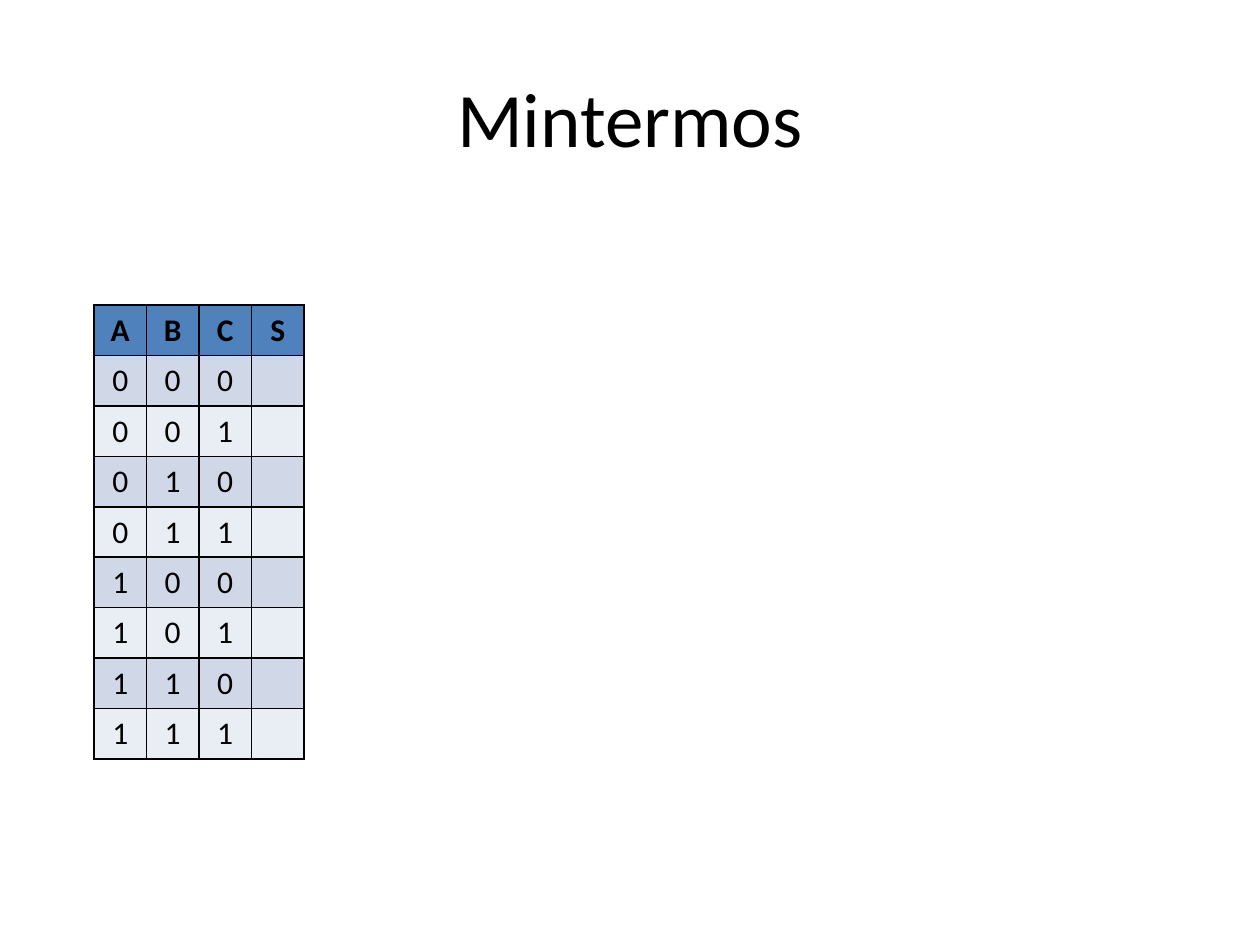
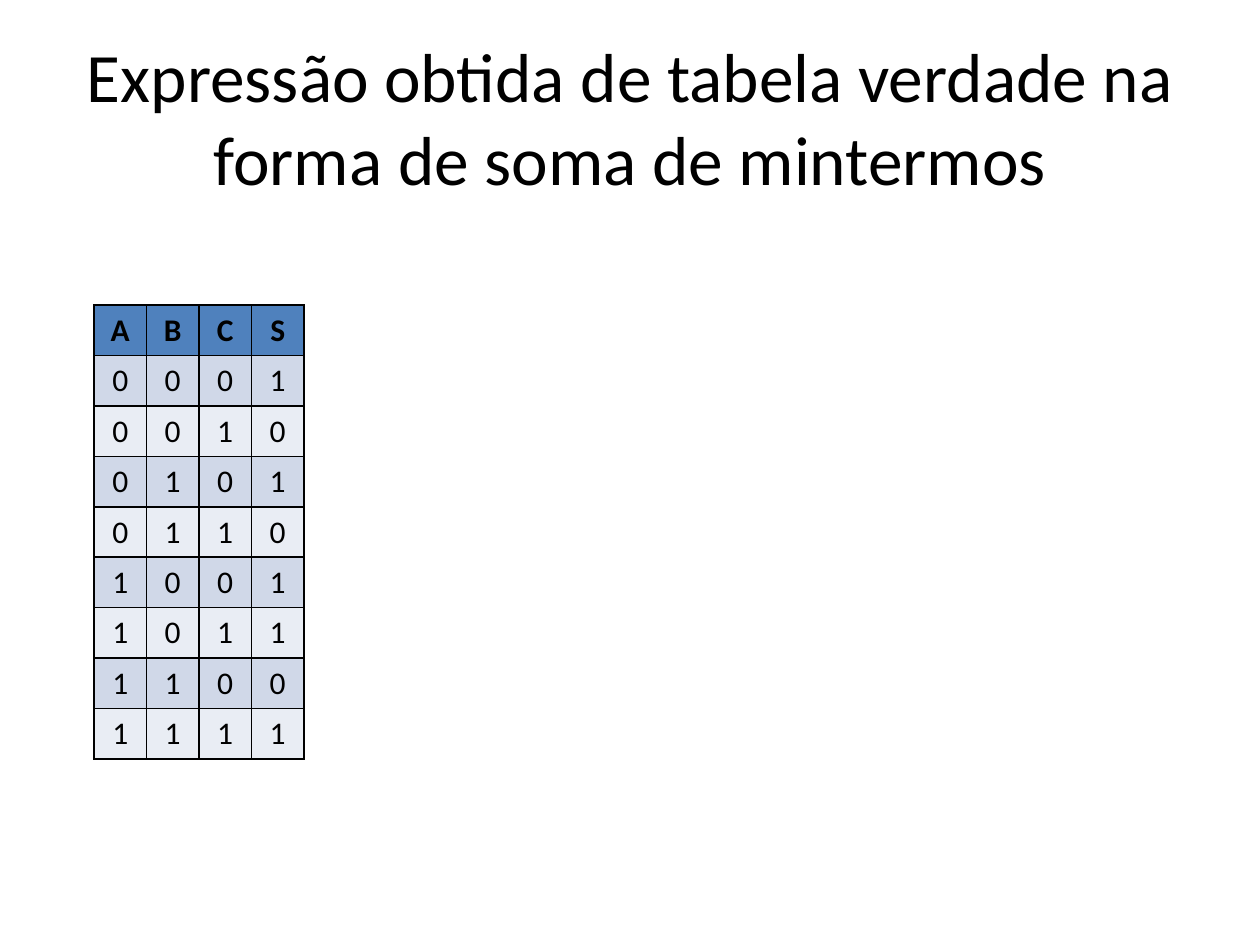
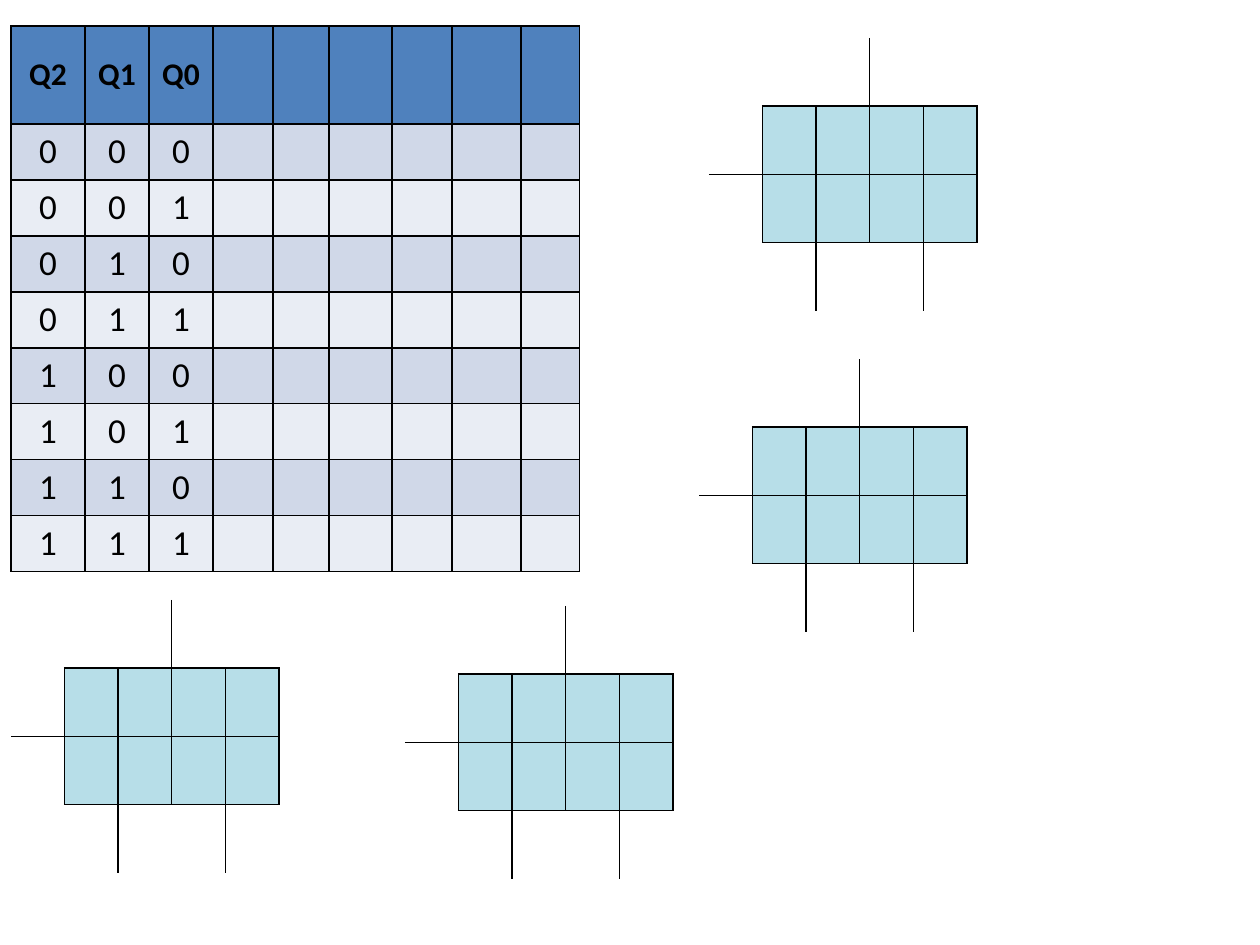
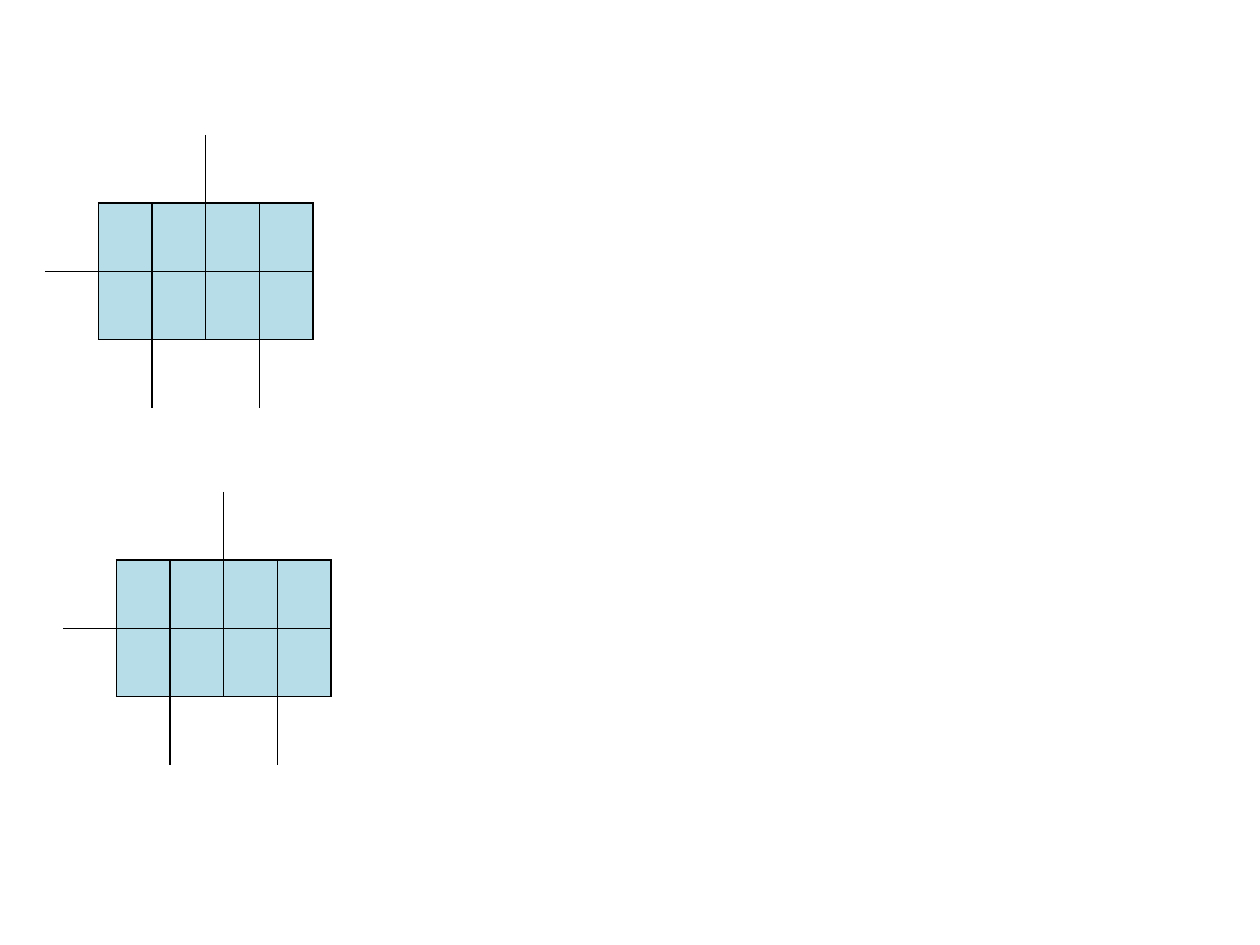
from itertools import product

from pptx import Presentation
from pptx import util as u
from pptx.dml.color import RGBColor
from pptx.enum import text
from pptx.oxml import parse_xml
from pptx.oxml.ns import nsdecls

PX = u.Inches(1) // 126
FONT = "Calibri"
BLACK = RGBColor(0x00, 0x00, 0x00)
WHITE = RGBColor(0xFF, 0xFF, 0xFF)
HEADER = RGBColor(0x4F, 0x81, 0xBD)
BANDS = (RGBColor(0xD0, 0xD8, 0xE8), RGBColor(0xE9, 0xED, 0xF4))
KMAP = RGBColor(0xB7, 0xDE, 0xE8)

ALL = "LRTB"
# Ruled sides of each Karnaugh map cell; cells ruled on all sides are coloured
KMAP_EDGES = [
    ["", "B", "RB", "LB", "B"],
    ["RB"] + [ALL] * 4,
    ["TR"] + [ALL] * 4,
    ["", "TR", "LT", "TR", "LT"],
]
BITS = list(product("01", repeat=3))


def write(tf, content, size, bold=False):
    tf.vertical_anchor = text.MSO_ANCHOR.MIDDLE
    p = tf.paragraphs[0]
    p.alignment = text.PP_ALIGN.CENTER
    r = p.add_run()
    r.text = content
    r.font.name, r.font.size, r.font.bold = FONT, u.Pt(size), bold
    r.font.color.rgb = BLACK


def add_title(s, content, size):
    sp = s.shapes.add_textbox(*(n * PX for n in (63, 38, 1134, 157)))
    sp.text_frame.word_wrap = True
    write(sp.text_frame, content, size)


def style_cell(cell, fill, sides=ALL):
    """Fill a cell and rule the given sides, leaving the others open."""
    cell.fill.solid()
    cell.fill.fore_color.rgb = fill
    pr = cell._tc.get_or_add_tcPr()
    for i, side in enumerate(ALL):
        paint = (f'<a:solidFill><a:srgbClr val="{BLACK}"/></a:solidFill>'
                 if side in sides else "<a:noFill/>")
        pr.insert(i, parse_xml(
            f'<a:ln{side} {nsdecls("a")} w="{u.Pt(1)}">{paint}</a:ln{side}>'))


def add_grid(s, x, y, widths, heights):
    """Add a plain table; widths and heights are in EMU."""
    tbl = s.shapes.add_table(len(heights), len(widths), x * PX, y * PX,
                             sum(widths), sum(heights)).table
    tbl.first_row = tbl.horz_banding = False
    for col, w in zip(tbl.columns, widths):
        col.width = w
    for row, h in zip(tbl.rows, heights):
        row.height = h
    return tbl


def add_truth_table(s, x, y, widths, heights, header, outputs="", size=18):
    tbl = add_grid(s, x, y, widths, heights)
    rows = [header] + [bits + tuple(out) for bits, out in
                       zip(BITS, outputs or [""] * len(BITS))]
    for i, row in enumerate(rows):
        for j in range(len(widths)):
            cell = tbl.cell(i, j)
            style_cell(cell, BANDS[(i - 1) % 2] if i else HEADER)
            cell.vertical_anchor = text.MSO_ANCHOR.MIDDLE
            if j < len(row):
                write(cell.text_frame, row[j], size if i else 18, bold=i == 0)


def add_kmap(s, x, y, w=268, h=273):
    tbl = add_grid(s, x, y, [w * PX // 5] * 5, [h * PX // 4] * 4)
    for i, row in enumerate(KMAP_EDGES):
        for j, sides in enumerate(row):
            style_cell(tbl.cell(i, j), KMAP if sides == ALL else WHITE, sides)


def minterm_slide(s, title, size, outputs=""):
    add_title(s, title, size)
    add_truth_table(s, 94, 305, [210 * PX // 4] * 4, [50 * PX] * 9,
                    "ABCS", outputs)


def counter_slide(s):
    # State table with blank columns to fill in
    widths = [n * PX for n in (74, 64, 64, 60, 56, 63, 60, 69, 59)]
    heights = [n * PX for n in [98] + [56] * 8]
    add_truth_table(s, 11, 26, widths, heights, ("Q2", "Q1", "Q0"), size=20)
    kmap_slide(s, [(11, 600), (405, 606), (709, 38), (699, 359)])


def kmap_slide(s, places):
    for x, y in places:
        add_kmap(s, x, y)


def main():
    prs = Presentation()
    prs.slide_width, prs.slide_height = u.Inches(10), u.Inches(7.5)

    def new_slide():
        return prs.slides.add_slide(prs.slide_layouts[6])

    minterm_slide(new_slide(), "Mintermos", 44)
    minterm_slide(new_slide(), "Expressão obtida de tabela verdade na "
                  "forma de soma de mintermos", 39.6, "10101101")
    counter_slide(new_slide())
    kmap_slide(new_slide(), [(45, 135), (63, 492)])
    prs.save("out.pptx")


if __name__ == "__main__":
    main()
